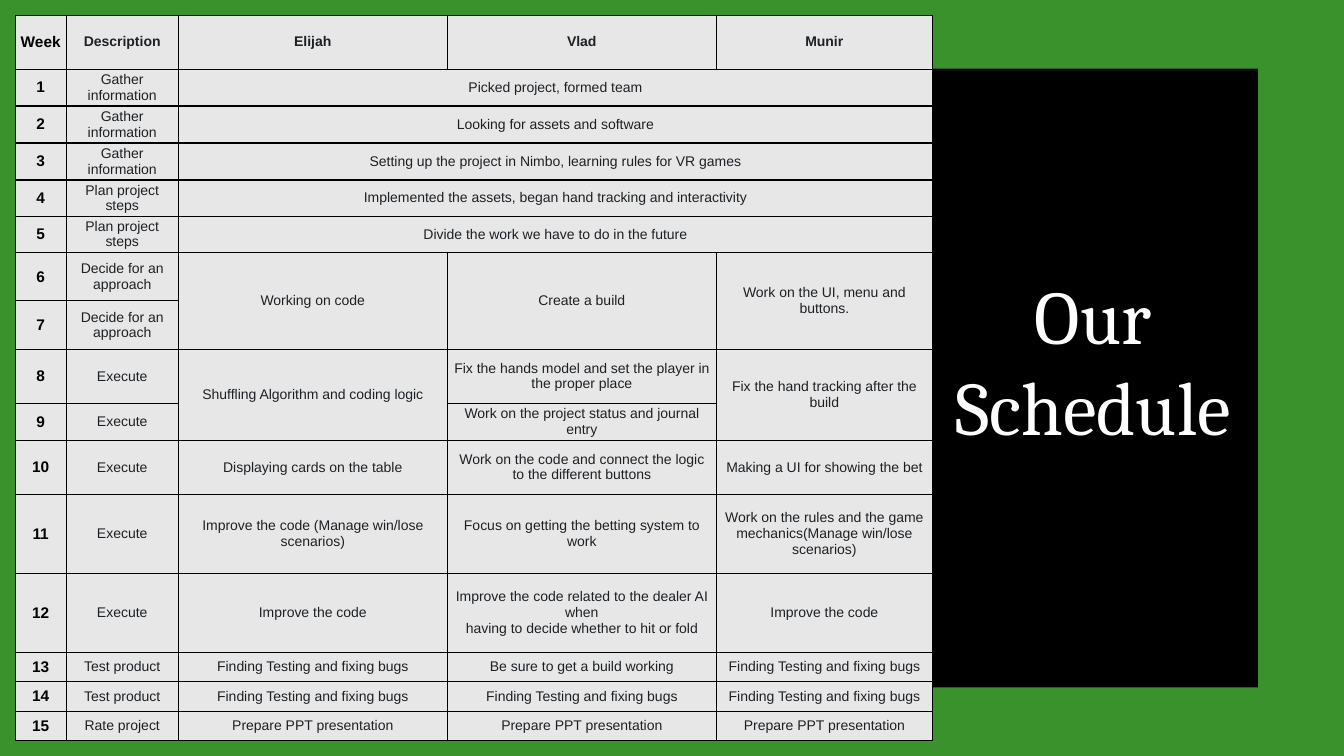
from lxml import etree
from pptx import Presentation
from pptx.dml.color import RGBColor
from pptx.enum.shapes import MSO_SHAPE
from pptx.enum.text import MSO_ANCHOR, MSO_AUTO_SIZE, PP_ALIGN
from pptx.oxml.ns import qn
from pptx.util import Pt

RECT = MSO_SHAPE.RECTANGLE
MIDDLE, BOTTOM = MSO_ANCHOR.MIDDLE, MSO_ANCHOR.BOTTOM
CENTER = PP_ALIGN.CENTER
NO_FIT = MSO_AUTO_SIZE.NONE

COLORS = {
    "green": "39922B",
    "black": "000000",
    "white": "FFFFFF",
    "gray": "E7E7E7",
    "ink": "1D2125",
}

TITLE = "Our Schedule"
HEADS = ("Week", "Description", "Elijah", "Vlad", "Munir")
BUGS = "Finding Testing and fixing bugs"
PREP = "Prepare PPT presentation"

# One line a week: phase, row height, tasks.
# A single task is shared by all; None carries on the task above.
WEEKS = [
    ("Gather information", 26.4, ["Picked project, formed team"]),
    ("Gather information", 26.4, ["Looking for assets and software"]),
    ("Gather information", 26.4,
     ["Setting up the project in Nimbo, learning rules for VR games"]),
    ("Plan project steps", 25.9,
     ["Implemented the assets, began hand tracking and interactivity"]),
    ("Plan project steps", 25.9,
     ["Divide the work we have to do in the future"]),
    ("Decide for an approach", 34.6,
     ["Working on code", "Create a build",
      "Work on the UI, menu and buttons."]),
    ("Decide for an approach", 34.6, [None, None, None]),
    ("Execute", 38.6,
     ["Shuffling Algorithm and coding logic",
      "Fix the hands model and set the player in the proper place",
      "Fix the hand tracking after the build"]),
    ("Execute", 26.4,
     [None, "Work on the project status and journal entry", None]),
    ("Execute", 38.6,
     ["Displaying cards on the table",
      "Work on the code and connect the logic\nto the different buttons",
      "Making a UI for showing the bet"]),
    ("Execute", 56.4,
     ["Improve the code (Manage win/lose scenarios)",
      "Focus on getting the betting system to work",
      "Work on the rules and the game mechanics(Manage win/lose scenarios)"]),
    ("Execute", 56.4,
     ["Improve the code",
      "Improve the code related to the dealer AI when\n"
      "having to decide whether to hit or fold",
      "Improve the code"]),
    ("Test product", 21.1, [BUGS, "Be sure to get a build working", BUGS]),
    ("Test product", 21.1, [BUGS, BUGS, BUGS]),
    ("Rate project", 21.1, [PREP, PREP, PREP]),
]
WIDTHS = (36.5, 80, 192.2, 192.2, 154.3)
HEAD_H = 38.6
EDGE = 10.8


def rgb(name):
    return RGBColor.from_string(COLORS[name])


def write(frame, text, size=10, color="ink", bold=False, font="Arial"):
    para = frame.paragraphs[0]
    para.alignment = CENTER
    for i, line in enumerate(text.split("\n")):
        if i:
            para.add_line_break()
        run = para.add_run()
        run.text = line
        run.font.size = Pt(size)
        run.font.name = font
        run.font.bold = bold
        run.font.color.rgb = rgb(color)
    for gap in para._p.findall(qn("a:br")):
        etree.SubElement(gap, qn("a:rPr"), sz=str(size * 100))


def style(cell):
    """Give a cell its margins, borders and fill."""
    cell.margin_left = cell.margin_right = Pt(2.16)
    cell.margin_top = cell.margin_bottom = Pt(1.44)
    cell.vertical_anchor = MIDDLE
    props = cell._tc.get_or_add_tcPr()
    for side in ("lnL", "lnR", "lnT", "lnB"):
        line = etree.SubElement(props, qn("a:" + side), w=str(Pt(1)))
        fill = etree.SubElement(line, qn("a:solidFill"))
        etree.SubElement(fill, qn("a:srgbClr"), val=COLORS["black"])
    cell.fill.solid()
    cell.fill.fore_color.rgb = rgb("gray")


def add_plan(slide):
    heights = [HEAD_H] + [week[1] for week in WEEKS]
    table = slide.shapes.add_table(
        len(heights), len(WIDTHS), Pt(EDGE), Pt(EDGE),
        Pt(sum(WIDTHS)), Pt(sum(heights))).table
    table.first_row = table.horz_banding = False
    for col, width in zip(table.columns, WIDTHS):
        col.width = Pt(width)
    for row, height in zip(table.rows, heights):
        row.height = Pt(height)
    for cell in table.iter_cells():
        style(cell)

    rows = [HEADS] + [(str(n), phase, *tasks)
                      for n, (phase, _, tasks) in enumerate(WEEKS, 1)]
    for r, texts in enumerate(rows):
        if len(texts) == 3:
            table.cell(r, 2).merge(table.cell(r, 4))
        for c, text in enumerate(texts):
            cell = table.cell(r, c)
            if text is None:
                table.cell(r - 1, c).merge(cell)
            elif c == 0:
                write(cell.text_frame, text, size=11, color="black", bold=True)
            else:
                write(cell.text_frame, text, bold=r == 0)


def main():
    deck = Presentation()
    deck.slide_width, deck.slide_height = Pt(960), Pt(540)
    slide = deck.slides.add_slide(deck.slide_layouts[5])
    slide.background.fill.solid()
    slide.background.fill.fore_color.rgb = rgb("green")

    panel = slide.shapes.add_shape(RECT, Pt(62), Pt(49), Pt(836.5), Pt(442))
    panel.shadow.inherit = False
    panel.fill.solid()
    panel.fill.fore_color.rgb = rgb("black")
    panel.line.fill.background()

    title = slide.shapes.title
    panel._element.addnext(title._element)
    title.left, title.top = Pt(637.2), Pt(236.9)
    title.width, title.height = Pt(287.3), Pt(92.2)
    frame = title.text_frame
    frame.word_wrap = True
    frame.auto_size = NO_FIT
    frame.vertical_anchor = BOTTOM
    frame.margin_left = frame.margin_right = Pt(7.2)
    frame.margin_top = frame.margin_bottom = Pt(7.2)
    write(frame, TITLE, size=54, color="white", font="Cambria")

    add_plan(slide)
    deck.save("out.pptx")


if __name__ == "__main__":
    main()
